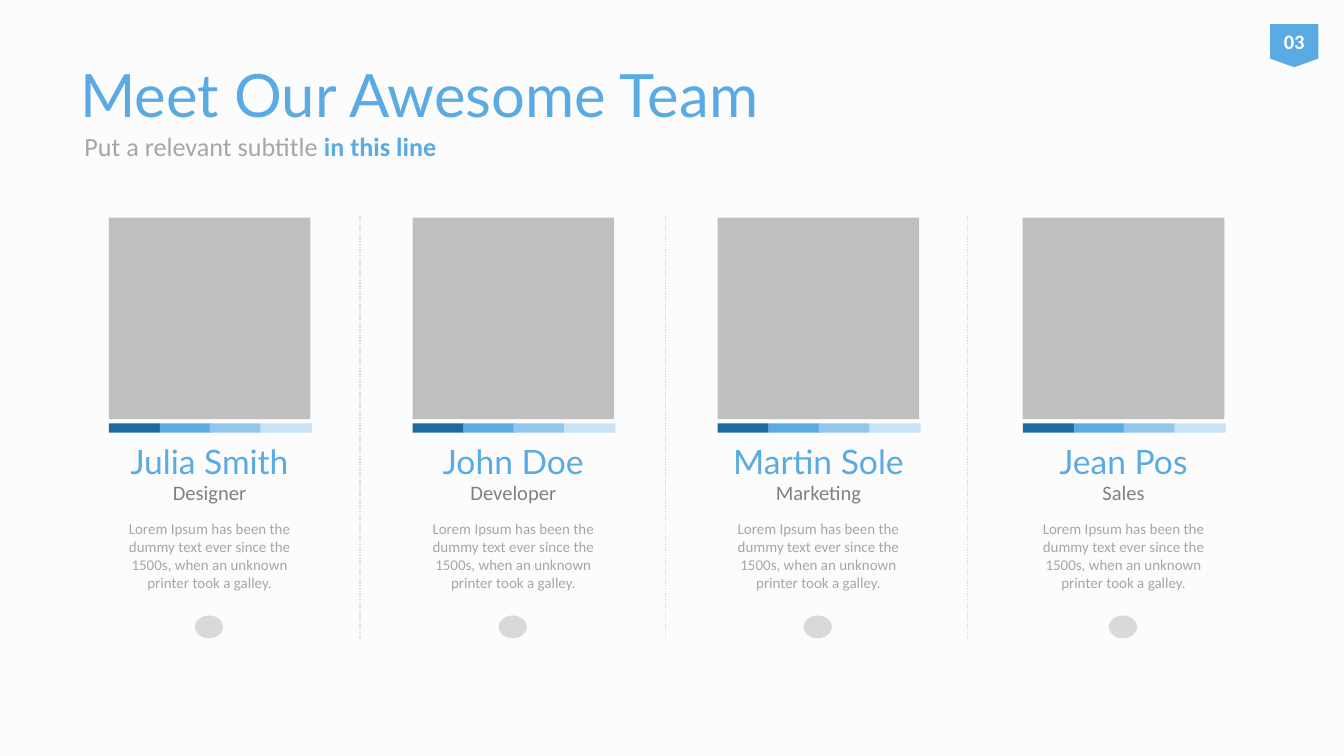
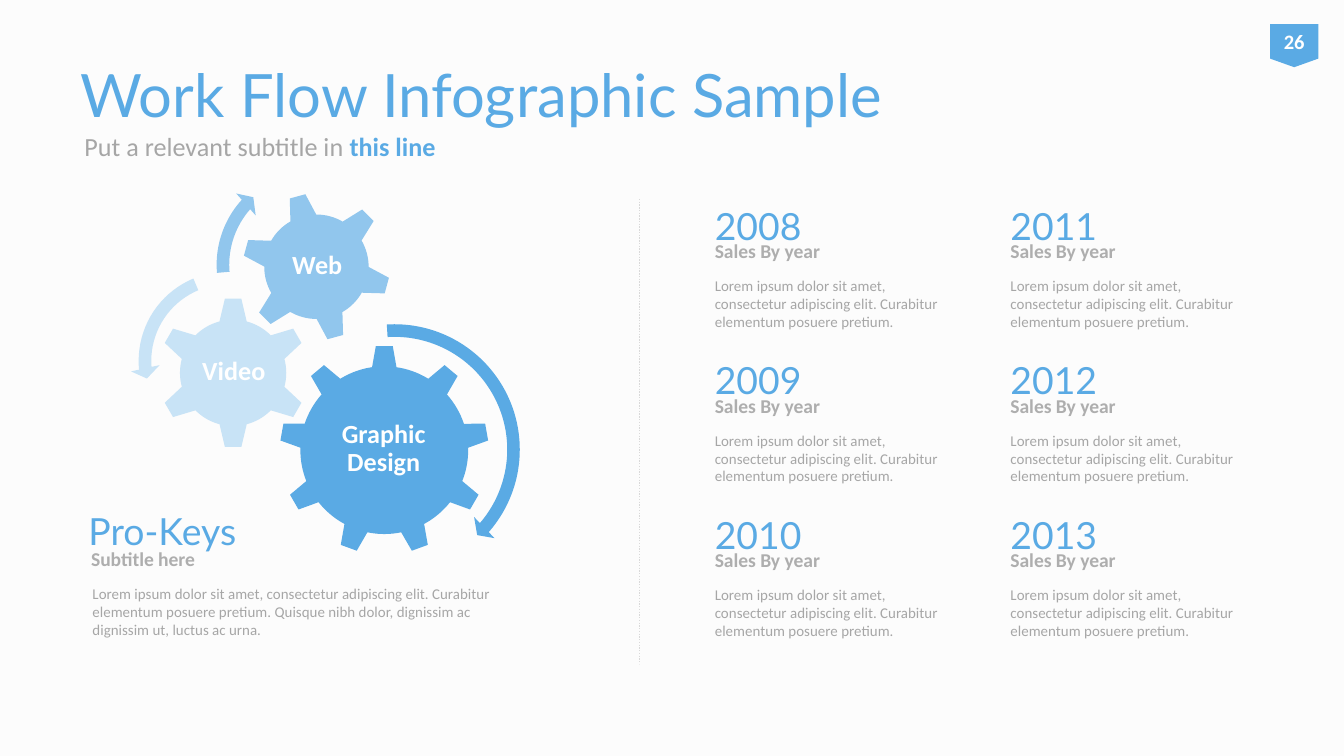
from lxml import etree
from pptx import Presentation
from pptx.dml.color import RGBColor
from pptx.enum.dml import MSO_LINE
from pptx.enum.shapes import MSO_CONNECTOR, MSO_SHAPE
from pptx.enum.text import MSO_ANCHOR, PP_ALIGN
from pptx.oxml.ns import qn
from pptx.util import Pt

PX = 9144
color = RGBColor.from_string
RECTANGLE, OVAL = MSO_SHAPE.RECTANGLE, MSO_SHAPE.OVAL
BADGE = MSO_SHAPE.FLOWCHART_OFFPAGE_CONNECTOR
GEAR_6, GEAR_9 = MSO_SHAPE.GEAR_6, MSO_SHAPE.GEAR_9
ARROW, LEFT_ARROW = MSO_SHAPE.CIRCULAR_ARROW, MSO_SHAPE.LEFT_CIRCULAR_ARROW
STRAIGHT = MSO_CONNECTOR.STRAIGHT
DOTTED = MSO_LINE.ROUND_DOT
TOP, MIDDLE = MSO_ANCHOR.TOP, MSO_ANCHOR.MIDDLE
LEFT, CENTER = PP_ALIGN.LEFT, PP_ALIGN.CENTER

NAVY, BLUE, SKY, PALE = "1B6AA3", "5AAAE4", "91C6ED", "C8E3F6"
PAPER, WHITE, RULE, PHOTO = "FCFCFC", "FFFFFF", "D9D9D9", "BFBFBF"
GRAY, DARK_GRAY, CAPTION_GRAY = "A6A6A6", "808080", "AEAEAE"

TITLE = {"size": Pt(32), "name": "Lato", "color": BLUE}
SUBTITLE = {"size": Pt(14), "name": "Calibri", "color": GRAY}
EMPHASIS = {**SUBTITLE, "color": BLUE, "bold": True}
NUMBER = {"size": Pt(11), "name": "Calibri", "color": WHITE, "bold": True}
PERSON = {"size": Pt(18), "name": "Lato", "color": BLUE}
JOB = {"size": Pt(11), "name": "Calibri", "color": DARK_GRAY}
BODY = {"size": Pt(8), "name": "Calibri", "color": GRAY}
HEADING = {"size": Pt(20), "name": "Lato", "color": BLUE}
CAPTION = {"size": Pt(10.5), "name": "Calibri", "color": CAPTION_GRAY, "bold": True}
GEAR_LABEL = {"size": Pt(14), "name": "Calibri", "color": WHITE, "bold": True}


def add_block(slide, kind, box, fill):
    shape = slide.shapes.add_shape(kind, *[value * PX for value in box])
    shape.shadow.inherit = False
    shape.fill.solid()
    shape.fill.fore_color.rgb = color(fill)
    shape.line.fill.background()
    return shape


def add_text(slide, box, runs, alignment=LEFT, anchor=TOP, shape=None):
    wrap = shape is None
    if wrap:
        shape = slide.shapes.add_textbox(*[value * PX for value in box])
    frame = shape.text_frame
    frame.word_wrap = wrap
    frame.vertical_anchor = anchor
    paragraph = frame.paragraphs[0]
    paragraph.alignment = alignment
    for text, style in runs:
        run = paragraph.add_run()
        run.text = text
        for name, value in style.items():
            if name == "color":
                run.font.color.rgb = color(value)
            else:
                setattr(run.font, name, value)
    return frame


presentation = Presentation()
presentation.slide_width = 1000 * PX
presentation.slide_height = 1000 * PX * 9 // 16
background = presentation.slide_master.background.fill
background.solid()
background.fore_color.rgb = color(PAPER)

pages = [
    ("Meet Our Awesome Team", 900, "Put a relevant subtitle ", "in this line", 900, "03",
     [268, 495, 720], 161, 475),
    ("Work Flow Infographic Sample", 624, "Put a relevant subtitle in ", "this line", 347, "26",
     [476], 148, 494),
]
slides = []
for title, title_width, subtitle, emphasis, subtitle_width, number, dividers, top, bottom in pages:
    slide = presentation.slides.add_slide(presentation.slide_layouts[6])
    slides.append(slide)
    add_text(slide, (50, 23, title_width, 94), [(title, TITLE)], anchor=MIDDLE)
    add_text(slide, (53, 89, subtitle_width, 40),
             [(subtitle, SUBTITLE), (emphasis, EMPHASIS)], anchor=MIDDLE)
    badge = add_block(slide, BADGE, (945, 18, 36, 32), BLUE)
    add_text(slide, None, [(number, NUMBER)], CENTER, MIDDLE, badge)
    for x in dividers:
        divider = slide.shapes.add_connector(STRAIGHT, x * PX, top * PX, x * PX, bottom * PX)
        divider.line.color.rgb = color(RULE)
        divider.line.width = Pt(0.75)
        divider.line.dash_style = DOTTED
        etree.SubElement(divider._element.spPr, qn("a:effectLst"))

team, workflow = slides

biography = ("Lorem Ipsum has been the dummy text ever since the 1500s, "
             "when an unknown printer took a galley.")
members = [("Julia Smith", "Designer"), ("John Doe", "Developer"),
           ("Martin Sole", "Marketing"), ("Jean Pos", "Sales")]
for column, (person, job) in enumerate(members):
    x = 81 + 680 * column // 3
    add_block(team, RECTANGLE, (x, 162, 150, 150), PHOTO)
    for step, shade in enumerate([NAVY, BLUE, SKY, PALE]):
        add_block(team, RECTANGLE, (x + (75 * step + 1) // 2, 315, 38, 7), shade)
    add_text(team, (x, 323, 150, 50), [(person, PERSON)], CENTER)
    add_text(team, (x - 6, 352, 162, 36), [(job, JOB)], CENTER)
    add_text(team, (x - 9, 382, 168, 64), [(biography, BODY)], CENTER)
    add_block(team, OVAL, (x + 64, 458, 21, 17), RULE)

gears = [
    (GEAR_9, (208, 257, 156, 156), 0, BLUE, "Graphic Design", (239, 294, 93, 80)),
    (GEAR_6, (117, 221, 113, 113), 0, PALE, "Video", (143, 246, 62, 62)),
    (GEAR_6, (180, 143, 111, 111), 345, SKY, "Web", (205, 167, 62, 62)),
]
for kind, box, rotation, shade, label, label_box in gears:
    gear = add_block(workflow, kind, box, shade)
    gear.rotation = rotation
    frame = add_text(workflow, label_box, [(label, GEAR_LABEL)], CENTER, MIDDLE)
    frame.paragraphs[0].line_spacing = 0.9
    for side in ("left", "top", "right", "bottom"):
        setattr(frame, f"margin_{side}", 2 * PX)

arrows = [
    (ARROW, (194, 235, 199, 199), BLUE, [47, 2990, 24593, 159898, 55]),
    (LEFT_ARROW, (97, 196, 145, 145), PALE, [65, 4300, 104891, 148378, 75]),
    (ARROW, (155, 119, 156, 156), SKY, [60, 3941, 133138, 105082, 70]),
]
for kind, box, shade, thousandths in arrows:
    arrow = add_block(workflow, kind, box, shade)
    for index, value in enumerate(thousandths):
        arrow.adjustments[index] = value / 1000

add_text(workflow, (56, 373, 155, 41), [("Pro-Keys", HEADING)])
add_text(workflow, (58, 402, 163, 22), [("Subtitle here", CAPTION)])
summary = "Lorem ipsum dolor sit amet, consectetur adipiscing elit. Curabitur elementum posuere pretium."
add_text(workflow, (59, 430, 323, 67),
         [(summary + " Quisque nibh dolor, dignissim ac dignissim ut, luctus ac urna.", BODY)])

for index in range(6):
    column, row = divmod(index, 3)
    x, y = 522 + 220 * column, 146 + 115 * row
    add_text(workflow, (x, y, 155, 41), [(str(2008 + index), HEADING)])
    add_text(workflow, (x, y + 27, 163, 22), [("Sales By year", CAPTION)])
    add_text(workflow, (x, y + 55, 189, 50), [(summary, BODY)])

presentation.save("out.pptx")
